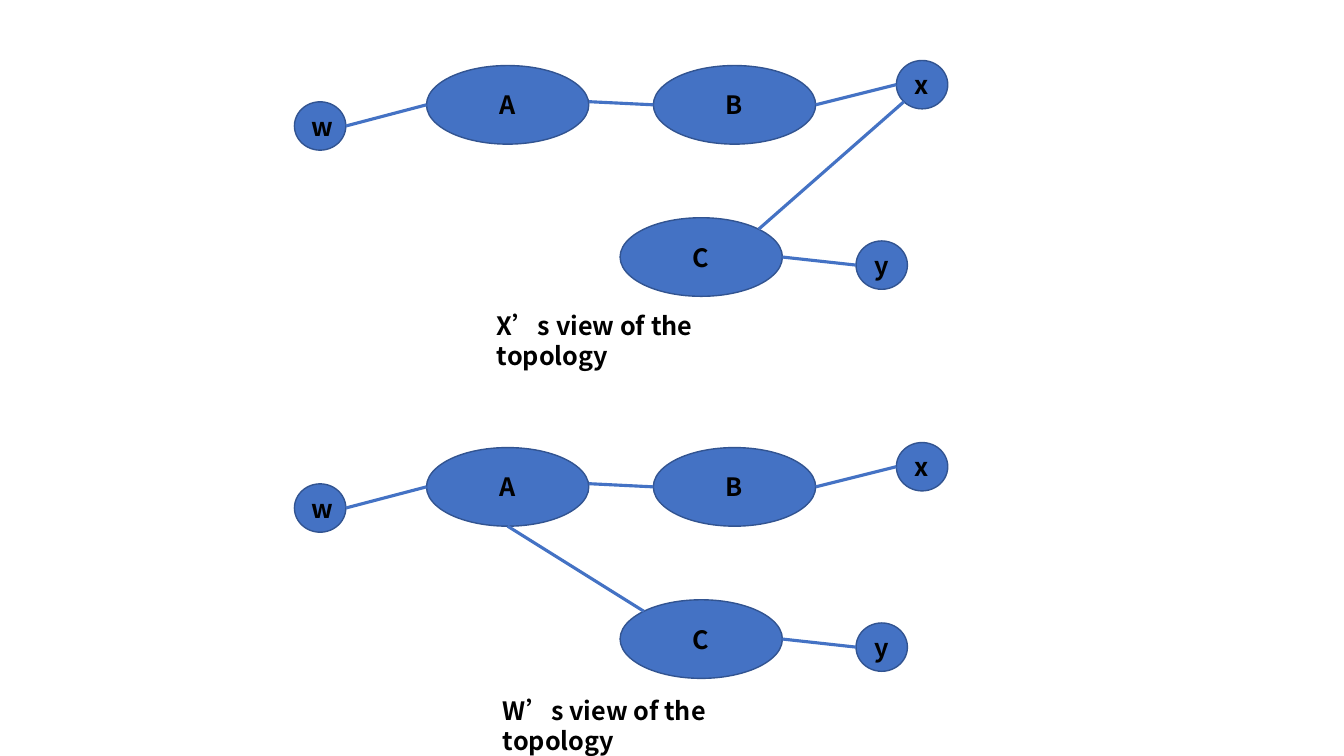
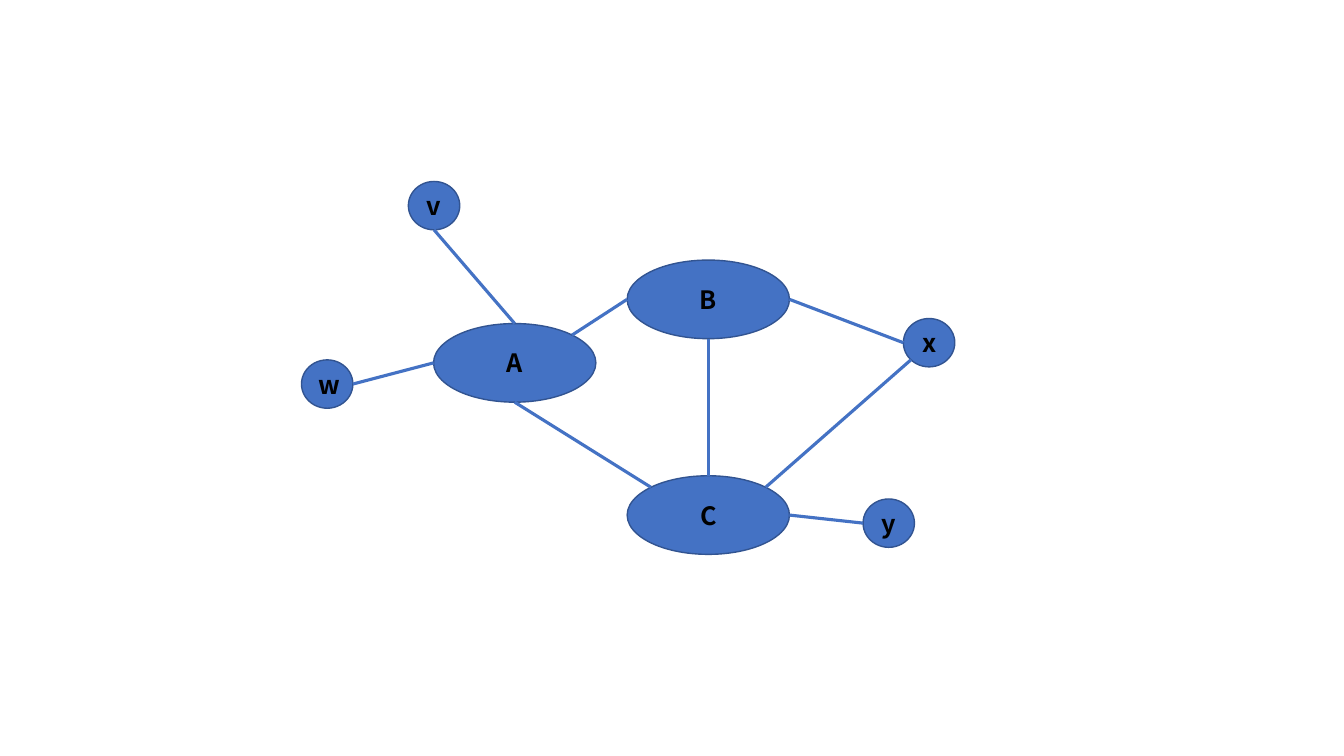
from lxml.etree import SubElement
from pptx import Presentation
from pptx.dml.color import RGBColor
from pptx.enum.shapes import MSO_CONNECTOR as Connector, MSO_SHAPE as Shape
from pptx.enum.text import MSO_ANCHOR as Anchor, PP_ALIGN as Align
from pptx.oxml.ns import qn
from pptx.util import Inches, Pt

COLOURS = {"node": "4472C4", "outline": "325491", "text": "000000"}
LABEL_FORMAT = {"name": "Noto Sans CJK SC", "size": Pt(18), "bold": True}
ROUTER_SIZE = (1.61, 0.78)
HOST_SIZE = (0.51, 0.48)
DIAGONAL = 0.5 ** 1.5
SITES = {
    "top": (0.5, 0),
    "bottom": (0.5, 1),
    "left": (0, 0.5),
    "right": (1, 0.5),
    "upper right": (1, 0.46),
    "top left": (0.5 - DIAGONAL, 0.5 - DIAGONAL),
    "top right": (0.5 + DIAGONAL, 0.5 - DIAGONAL),
    "bottom left": (0.5 - DIAGONAL, 0.5 + DIAGONAL),
}
NODES = {
    "w": (0, 0.41),
    "A": (1.31, 0.05),
    "y": (5.57, 1.79),
    "x": (5.97, 0),
    "B": (3.56, 0.05),
    "C": (3.23, 1.56),
}
FULL_NODES = {**NODES, "B": (3.23, -0.58), "v": (1.06, -1.36)}
SHARED_LINKS = [
    ("w", "right", "A", "left"),
    ("B", "right", "x", "left"),
    ("C", "right", "y", "left"),
]
A_TO_B = ("A", "upper right", "B", "left")
C_TO_X = ("C", "top right", "x", "bottom left")
C_TO_A = ("C", "top left", "A", "bottom")
FULL_LINKS = SHARED_LINKS + [
    C_TO_X,
    C_TO_A,
    ("A", "top right", "B", "left"),
    ("v", "bottom", "A", "top"),
    ("B", "bottom", "C", "top"),
]


def colour(key):
    """Return the named palette colour."""
    return RGBColor.from_string(COLOURS[key])


def write_label(frame, text):
    """Write bold black text into a text frame."""
    run = frame.paragraphs[0].add_run()
    run.text = text
    for attribute, value in LABEL_FORMAT.items():
        setattr(run.font, attribute, value)
    run.font.color.rgb = colour("text")


def add_node(slide, label, box):
    """Draw a labelled ellipse for a router or host."""
    node = slide.shapes.add_shape(Shape.OVAL, *map(Inches, box))
    node.shadow.inherit = False
    node.fill.solid()
    node.fill.fore_color.rgb = colour("node")
    node.line.color.rgb = colour("outline")
    node.line.width = Pt(1)
    write_label(node.text_frame, label)
    node.text_frame.vertical_anchor = Anchor.MIDDLE
    node.text_frame.paragraphs[0].alignment = Align.CENTER


def site_point(box, site):
    """Return the point of a connection site on a node's box."""
    left, top, width, height = box
    across, down = SITES[site]
    return Inches(left + across * width), Inches(top + down * height)


def add_link(slide, start, end):
    """Draw a plain link between two points."""
    link = slide.shapes.add_connector(Connector.STRAIGHT, *start, *end)
    link.line.color.rgb = colour("node")
    link.line.width = Pt(2.25)
    SubElement(link._element.spPr, qn("a:effectLst"))


def add_topology(slide, left, top, nodes, links):
    """Draw a network whose nodes are placed from the given corner."""
    boxes = {
        label: (left + x, top + y, *(ROUTER_SIZE if label.isupper() else HOST_SIZE))
        for label, (x, y) in nodes.items()
    }
    for label, box in boxes.items():
        add_node(slide, label, box)
    for source, source_site, target, target_site in links:
        add_link(slide, site_point(boxes[source], source_site),
                 site_point(boxes[target], target_site))


def add_caption(slide, text, left, top, width):
    """Write the caption under a topology."""
    caption = slide.shapes.add_textbox(*map(Inches, (left, top, width, 0.4)))
    caption.text_frame.word_wrap = True
    write_label(caption.text_frame, text)


def build_views_slide(slide):
    """Stack the topologies as seen by X and by W."""
    views = [
        (0.6, C_TO_X, "X’s view of the topology", (4.83, 3.03, 2.99)),
        (4.39, C_TO_A, "W’s view of the topology", (4.89, 6.85, 3.08)),
    ]
    for top, seen_link, text, caption_box in views:
        add_topology(slide, 2.92, top, NODES, SHARED_LINKS + [A_TO_B, seen_link])
        add_caption(slide, text, *caption_box)


def build_full_slide(slide):
    """Show the full topology."""
    add_topology(slide, 2.99, 3.16, FULL_NODES, FULL_LINKS)


deck = Presentation()
deck.slide_width, deck.slide_height = Inches(13.33), Inches(7.5)
for build in (build_views_slide, build_full_slide):
    build(deck.slides.add_slide(deck.slide_layouts[6]))
deck.save("out.pptx")
